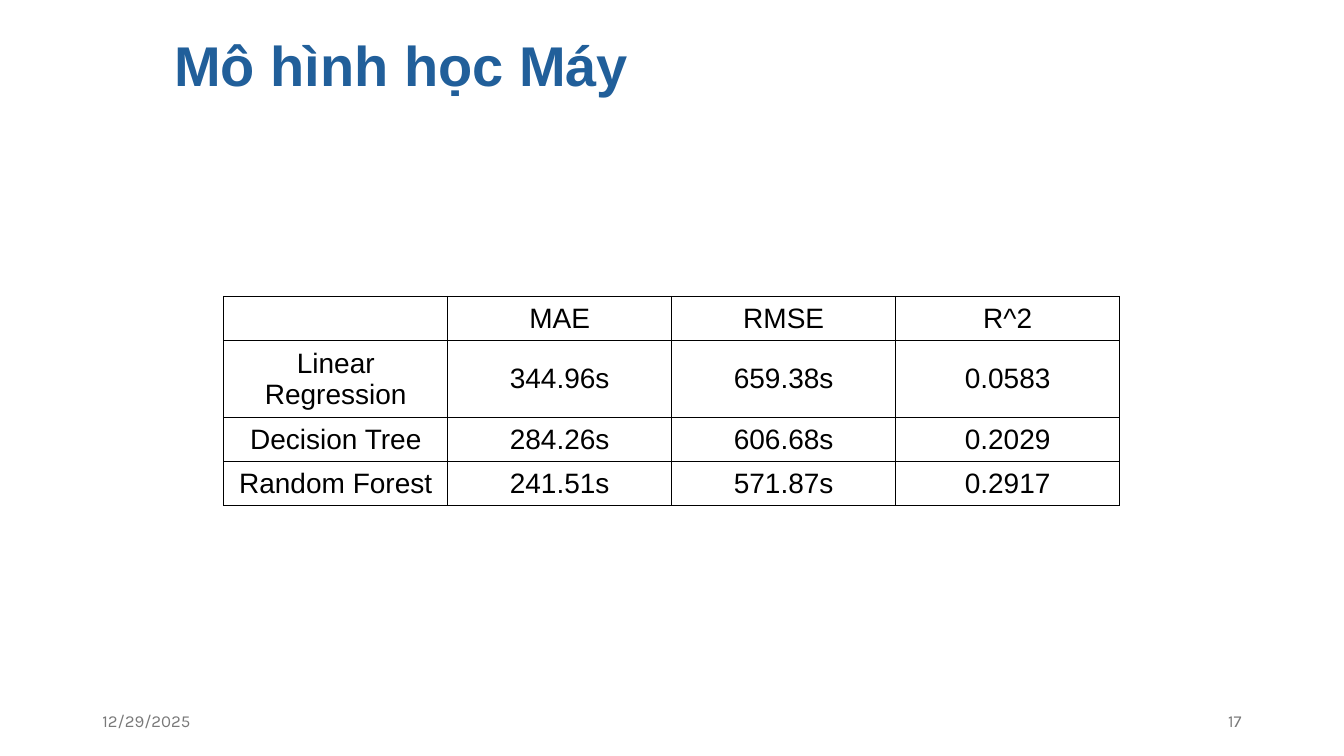
from lxml import etree
from pptx import Presentation
from pptx import util as u
from pptx.dml.color import RGBColor
from pptx.enum import text
from pptx.oxml import ns

HUES = {"title": "215F9A", "ink": "000000", "note": "797979", "paper": "FFFFFF"}
LEFT, MID, RIGHT = text.PP_ALIGN.LEFT, text.PP_ALIGN.CENTER, text.PP_ALIGN.RIGHT
HEAD = {"name": "Arial", "size": u.Pt(40), "bold": True}
BODY = {"name": "Arial", "size": u.Pt(20), "bold": False}
NOTE = {"name": "Karla", "size": u.Pt(12), "bold": False}
SCORES = [
    ("", "MAE", "RMSE", "R^2"),
    ("Linear Regression", "344.96s", "659.38s", "0.0583"),
    ("Decision Tree", "284.26s", "606.68s", "0.2029"),
    ("Random Forest", "241.51s", "571.87s", "0.2917"),
]
ROWS = (1.1, 1.96, 1.1, 1.1)


def write(frame, words, style, hue, align):
    frame.text = words
    line = frame.paragraphs[0]
    line.alignment = align
    for run in line.runs:
        for key, value in style.items():
            setattr(run.font, key, value)
        run.font.color.rgb = RGBColor.from_string(HUES[hue])


def add_title(slide, box, words):
    title = slide.shapes.title
    for key, value in zip(("left", "top", "width", "height"), box):
        setattr(title, key, u.Cm(value))
    frame = title.text_frame
    write(frame, words, HEAD, "title", LEFT)
    frame.word_wrap = True
    frame.auto_size = text.MSO_AUTO_SIZE.NONE
    frame.vertical_anchor = text.MSO_ANCHOR.TOP


def add_note(slide, box, words, align):
    frame = slide.shapes.add_textbox(*map(u.Cm, box)).text_frame
    frame.word_wrap = True
    frame.vertical_anchor = text.MSO_ANCHOR.MIDDLE
    write(frame, words, NOTE, "note", align)


def add_edges(cell):
    """Draw a thin line on all four sides of a table cell."""
    props = cell._tc.get_or_add_tcPr()
    for side in ("lnL", "lnR", "lnT", "lnB"):
        edge = etree.SubElement(props, ns.qn(f"a:{side}"), w=str(u.Pt(1)))
        fill = etree.SubElement(edge, ns.qn("a:solidFill"))
        etree.SubElement(fill, ns.qn("a:srgbClr"), val=HUES["ink"])


def add_scores(slide, box):
    size = len(SCORES), len(SCORES[0])
    table = slide.shapes.add_table(*size, *map(u.Cm, box)).table
    table.first_row = table.horz_banding = False
    for col in table.columns:
        col.width = u.Cm(box[2] / size[1])
    for row, high, words in zip(table.rows, ROWS, SCORES):
        row.height = u.Cm(high)
        for cell, word in zip(row.cells, words):
            write(cell.text_frame, word, BODY, "ink", MID)
            cell.vertical_anchor = text.MSO_ANCHOR.MIDDLE
            add_edges(cell)
            cell.fill.solid()
            cell.fill.fore_color.rgb = RGBColor.from_string(HUES["paper"])


def main():
    deck = Presentation()
    deck.slide_width, deck.slide_height = u.Cm(33.87), u.Cm(19.05)
    slide = deck.slides.add_slide(deck.slide_layouts[5])
    add_title(slide, (4.14, 0.64, 15.4, 1.96), "Mô hình học Máy")
    add_scores(slide, (5.64, 7.47, 22.58, sum(ROWS)))
    add_note(slide, (2.33, 17.66, 7.62, 1.01), "12/29/2025", LEFT)
    add_note(slide, (23.92, 17.66, 7.62, 1.01), "17", RIGHT)
    deck.save("out.pptx")


if __name__ == "__main__":
    main()
